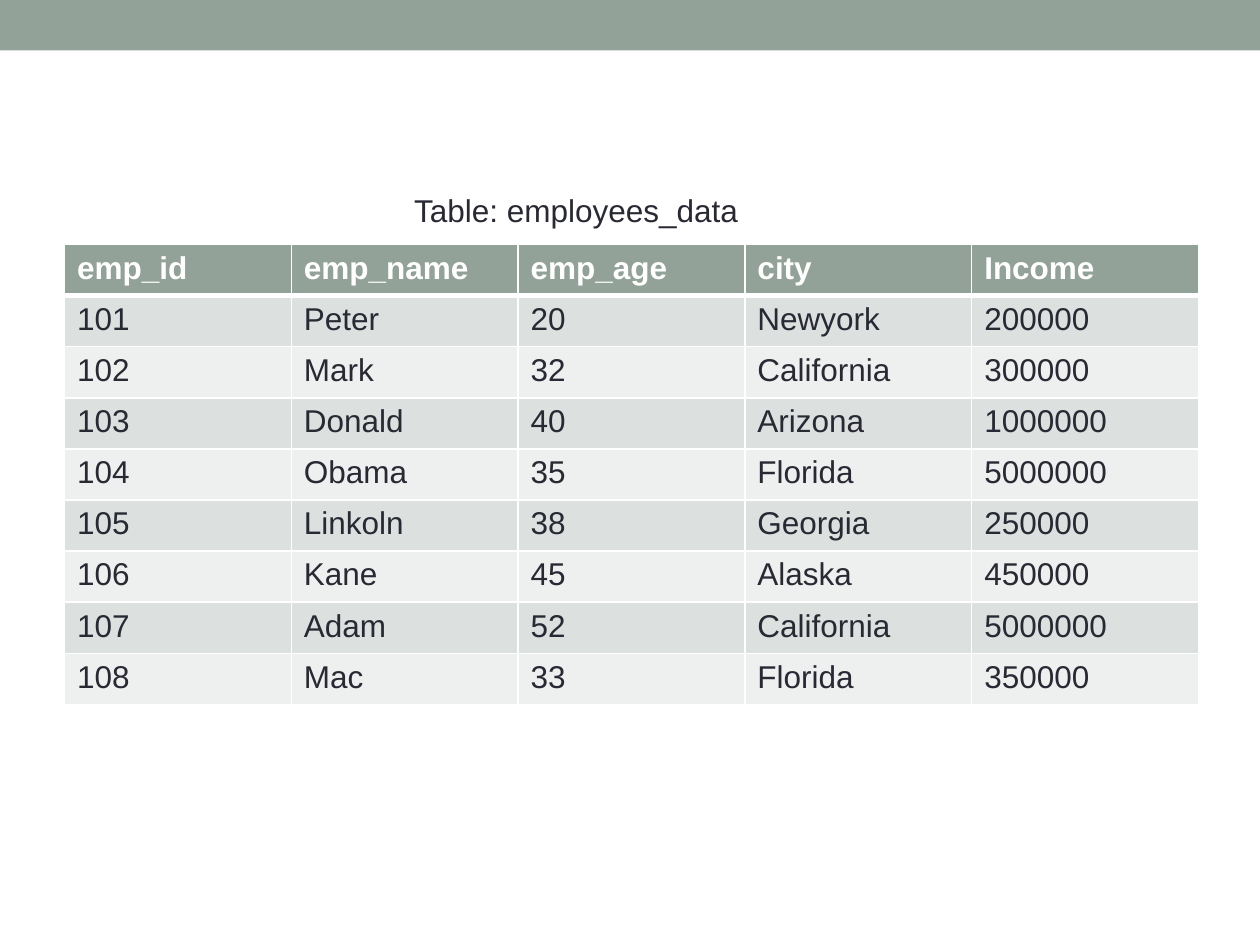
from typing import NamedTuple

from lxml import etree
from pptx import Presentation
from pptx import util as u
from pptx.dml.color import RGBColor
from pptx.enum import shapes, text
from pptx.oxml import ns

HUES = {"sage": "93A299", "dark": "DCE0DE", "light": "EEF0EF",
        "ink": "292934", "white": "FFFFFF"}


class Staff(NamedTuple):
    id: str
    name: str
    age: str
    city: str
    income: str


HEAD = Staff("emp_id", "emp_name", "emp_age", "city", "Income")
STAFF = [
    Staff("101", "Peter", "20", "Newyork", "200000"),
    Staff("102", "Mark", "32", "California", "300000"),
    Staff("103", "Donald", "40", "Arizona", "1000000"),
    Staff("104", "Obama", "35", "Florida", "5000000"),
    Staff("105", "Linkoln", "38", "Georgia", "250000"),
    Staff("106", "Kane", "45", "Alaska", "450000"),
    Staff("107", "Adam", "52", "California", "5000000"),
    Staff("108", "Mac", "33", "Florida", "350000"),
]


def hue(name: str) -> RGBColor:
    return RGBColor.from_string(HUES[name])


def write(frame, words: str, tint: str, bold: bool = False) -> None:
    run = frame.paragraphs[0].add_run()
    run.text = words
    run.font.name = "Arial"
    run.font.size = u.Pt(18)
    run.font.bold = bold
    run.font.color.rgb = hue(tint)


def edge(cell, side: str, width: int) -> None:
    props = cell._tc.get_or_add_tcPr()
    line = etree.SubElement(props, ns.qn(f"a:ln{side}"), w=str(u.Pt(width)))
    fill = etree.SubElement(line, ns.qn("a:solidFill"))
    etree.SubElement(fill, ns.qn("a:srgbClr"), val=HUES["white"])


def draw_band(slide) -> None:
    band = slide.shapes.add_shape(
        shapes.MSO_SHAPE.RECTANGLE, 0, 0, u.Cm(25.4), u.Cm(1.02))
    band.shadow.inherit = False
    band.fill.solid()
    band.fill.fore_color.rgb = hue("sage")
    band.line.fill.background()


def draw_cell(cell, words: str, row: int) -> None:
    top = 3 if row == 1 else 1
    base = 3 if row == 0 else 1
    for side, width in zip("LRTB", (1, 1, top, base)):
        edge(cell, side, width)
    cell.fill.solid()
    shade = "sage" if row == 0 else ("light", "dark")[row % 2]
    cell.fill.fore_color.rgb = hue(shade)
    write(cell.text_frame, words, "ink" if row else "white", row == 0)


def draw_table(slide, rows: list[Staff]) -> None:
    high = u.Cm(1.03)
    grid = slide.shapes.add_table(
        len(rows), len(HEAD), u.Cm(1.3), u.Cm(4.93),
        u.Cm(22.86), high * len(rows)).table
    for r, staff in enumerate(rows):
        grid.rows[r].height = high
        for c, words in enumerate(staff):
            draw_cell(grid.cell(r, c), words, r)


def draw_title(slide) -> None:
    box = slide.shapes.add_textbox(
        u.Cm(8.1), u.Cm(3.73), u.Cm(7.11), u.Cm(1.02))
    frame = box.text_frame
    frame.word_wrap = False
    frame.auto_size = text.MSO_AUTO_SIZE.SHAPE_TO_FIT_TEXT
    write(frame, "Table: employees_data", "ink")


def main() -> None:
    deck = Presentation()
    deck.slide_width, deck.slide_height = u.Cm(25.4), u.Cm(19.05)
    slide = deck.slides.add_slide(deck.slide_layouts[6])
    draw_band(slide)
    draw_table(slide, [HEAD, *STAFF])
    draw_title(slide)
    deck.save("out.pptx")


if __name__ == "__main__":
    main()
